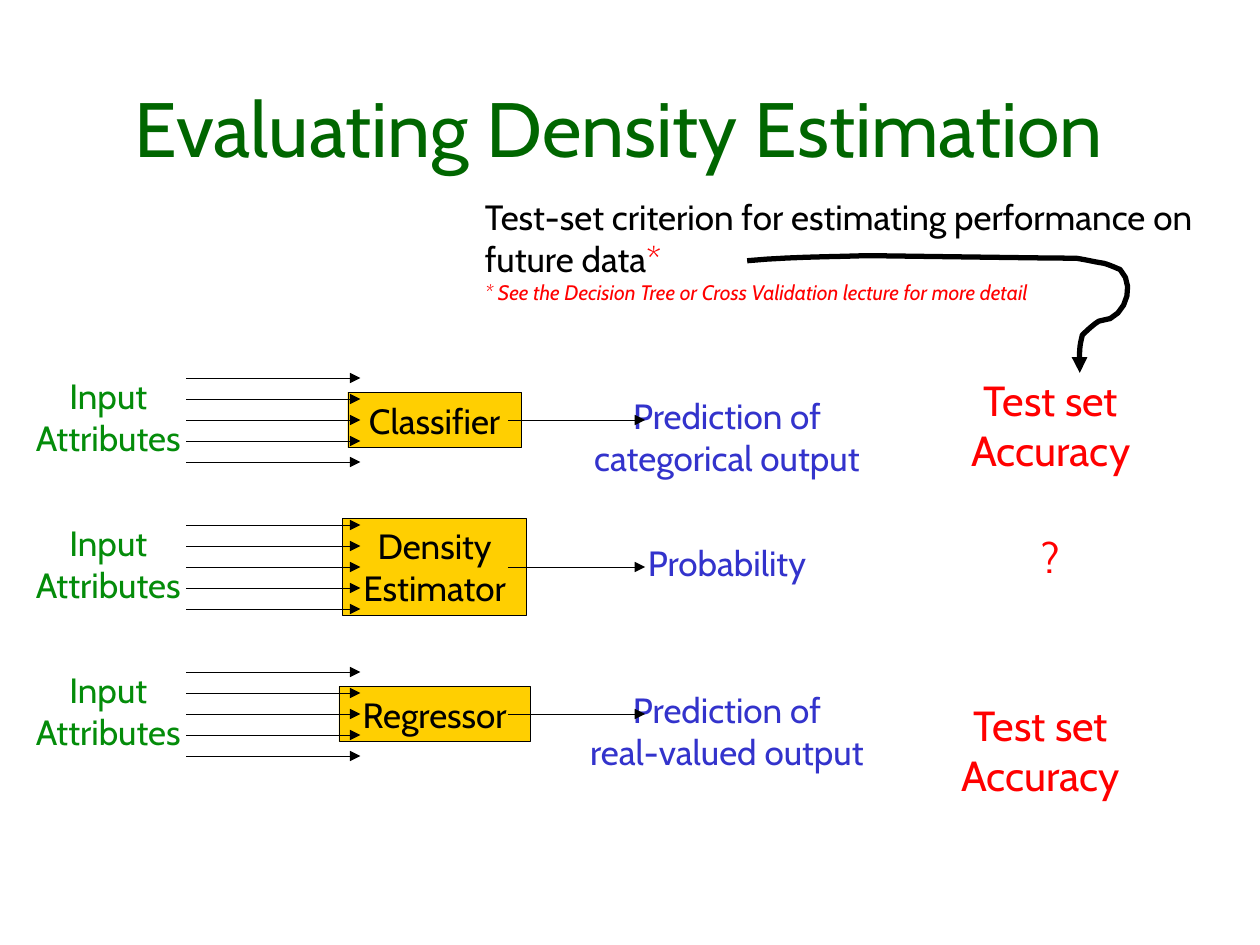
from lxml.etree import SubElement
from pptx import Presentation
from pptx.dml.color import RGBColor
from pptx.enum.shapes import MSO_CONNECTOR, MSO_SHAPE
from pptx.enum.text import MSO_ANCHOR, PP_ALIGN
from pptx.oxml.ns import qn
from pptx.util import Inches, Pt

BLACK = RGBColor(0, 0, 0)
TITLE_GREEN = RGBColor(0, 0x66, 0)
INPUT_GREEN = RGBColor(0x04, 0x8C, 0x0A)
OUTPUT_BLUE = RGBColor(0x33, 0x33, 0xCC)
RED = RGBColor(0xFF, 0, 0)
GOLD = RGBColor(0xFF, 0xCF, 0x01)
FONT = "Cabin"


def style(font, size, color, italic=None):
    font.name, font.size, font.italic = FONT, Pt(size), italic
    font.color.rgb = color


def write(shape, lines, size, color, align=PP_ALIGN.CENTER, anchor=MSO_ANCHOR.TOP, wrap=True):
    frame = shape.text_frame
    frame.word_wrap = wrap
    frame.vertical_anchor = anchor
    frame.text = lines
    for paragraph in frame.paragraphs:
        paragraph.alignment = align
        style(paragraph.font, size, color)
    return frame


def add_label(slide, box, lines, size, color, **options):
    label = slide.shapes.add_textbox(*map(Inches, box))
    return write(label, lines, size, color, **options)


def set_line(shape, width, arrow=False):
    shape.line.color.rgb = BLACK
    shape.line.width = Pt(width)
    if arrow:
        SubElement(shape.line._get_or_add_ln(), qn("a:tailEnd"), type="triangle")


def add_arrow(slide, left, right, y):
    arrow = slide.shapes.add_connector(
        MSO_CONNECTOR.STRAIGHT, Inches(left), Inches(y), Inches(right), Inches(y))
    set_line(arrow, 0.26, arrow=True)
    SubElement(arrow._element.spPr, qn("a:effectLst"))


def add_model_row(slide, left, top, model, width, output, output_width):
    middle = top + 1 / 3
    height = 0.77 if "\n" in model else 0.44
    output_height = 0.77 if "\n" in output else 0.44
    model_box = slide.shapes.add_shape(
        MSO_SHAPE.RECTANGLE, Inches(left + 3.34 - width / 2), Inches(middle - height / 2),
        Inches(width), Inches(height))
    model_box.shadow.inherit = False
    model_box.fill.solid()
    model_box.fill.fore_color.rgb = GOLD
    set_line(model_box, 0.26)
    write(model_box, model, 20, BLACK, anchor=MSO_ANCHOR.MIDDLE, wrap=False)
    add_label(slide, (left + 5.66 - output_width / 2, top + 0.08, output_width, output_height),
              output, 20, OUTPUT_BLUE, wrap=False)
    add_label(slide, (left, top - 0.08, 1.5, 0.77), "Input\nAttributes", 20, INPUT_GREEN, wrap=False)
    for step in range(5):
        add_arrow(slide, left + 1.37, left + 2.75, top + step / 6)
    add_arrow(slide, left + 3.92, left + 5.01, middle)


def add_criterion(slide, box):
    frame = add_label(slide, box,
                      "Test-set criterion for estimating performance on future data\n"
                      "* See the Decision Tree or Cross Validation lecture for more detail",
                      20, BLACK, align=PP_ALIGN.LEFT)
    criterion, footnote = frame.paragraphs
    star = criterion.add_run()
    star.text = "*"
    star.font.color.rgb = RED
    style(footnote.font, 12, RED, italic=True)


def bezier(points, t):
    weights = ((1 - t) ** 3, 3 * t * (1 - t) ** 2, 3 * t * t * (1 - t), t ** 3)
    return tuple(sum(w * p[axis] for w, p in zip(weights, points)) for axis in (0, 1))


def add_curved_pointer(slide, left, top):
    start = (0, 0.04)
    curves = [
        ((0.31, 0.01), (0.62, 0.01), (0.93, 0)),
        ((1.12, 0), (2.37, 0.02), (2.61, 0.02)),
        ((2.68, 0.03), (2.76, 0.05), (2.83, 0.06)),
        ((2.87, 0.07), (2.96, 0.11), (2.96, 0.11)),
        ((3.07, 0.22), (3.02, 0.43), (2.88, 0.5)),
        ((2.87, 0.5), (2.79, 0.52), (2.79, 0.52)),
        ((2.74, 0.55), (2.66, 0.63), (2.66, 0.63)),
        ((2.63, 0.75), (2.64, 0.75), (2.64, 0.93)),
    ]
    points = [start]
    for curve in curves:
        segment = (points[-1], *curve)
        points += [bezier(segment, step / 6) for step in range(1, 7)]
    outline = [(Inches(left + x), Inches(top + y)) for x, y in points]
    builder = slide.shapes.build_freeform(*outline[0])
    builder.add_line_segments(outline[1:], close=False)
    pointer = builder.convert_to_shape()
    pointer.shadow.inherit = False
    pointer.fill.background()
    set_line(pointer, 3, arrow=True)


def main():
    deck = Presentation()
    deck.slide_width, deck.slide_height = Inches(10), Inches(7.5)
    slide = deck.slides.add_slide(deck.slide_layouts[6])
    add_label(slide, (0.25, 0.25, 9.33, 1.17), "Evaluating Density Estimation", 44, TITLE_GREEN,
              anchor=MSO_ANCHOR.BOTTOM)
    models = [
        ("Classifier", 1.38, "Prediction of\ncategorical output", 2.59),
        ("Density\nEstimator", 1.46, "Probability", 1.61),
        ("Regressor", 1.52, "Prediction of\nreal-valued output", 2.61),
    ]
    for index, model in enumerate(models):
        add_model_row(slide, 0.11, 3 + index * 7 / 6, *model)
    scores = [
        (7.33, 2.92, 0.9, "Test set Accuracy"),
        (7.33, 4.17, 0.5, "?"),
        (7.25, 5.5, 0.9, "Test set Accuracy"),
    ]
    for left, top, height, score in scores:
        add_label(slide, (left, top, 2.02, height), score, 24, RED)
    add_criterion(slide, (3.75, 1.5, 5.83, 0.97))
    add_curved_pointer(slide, 5.93, 2.03)
    deck.save("out.pptx")


main()
